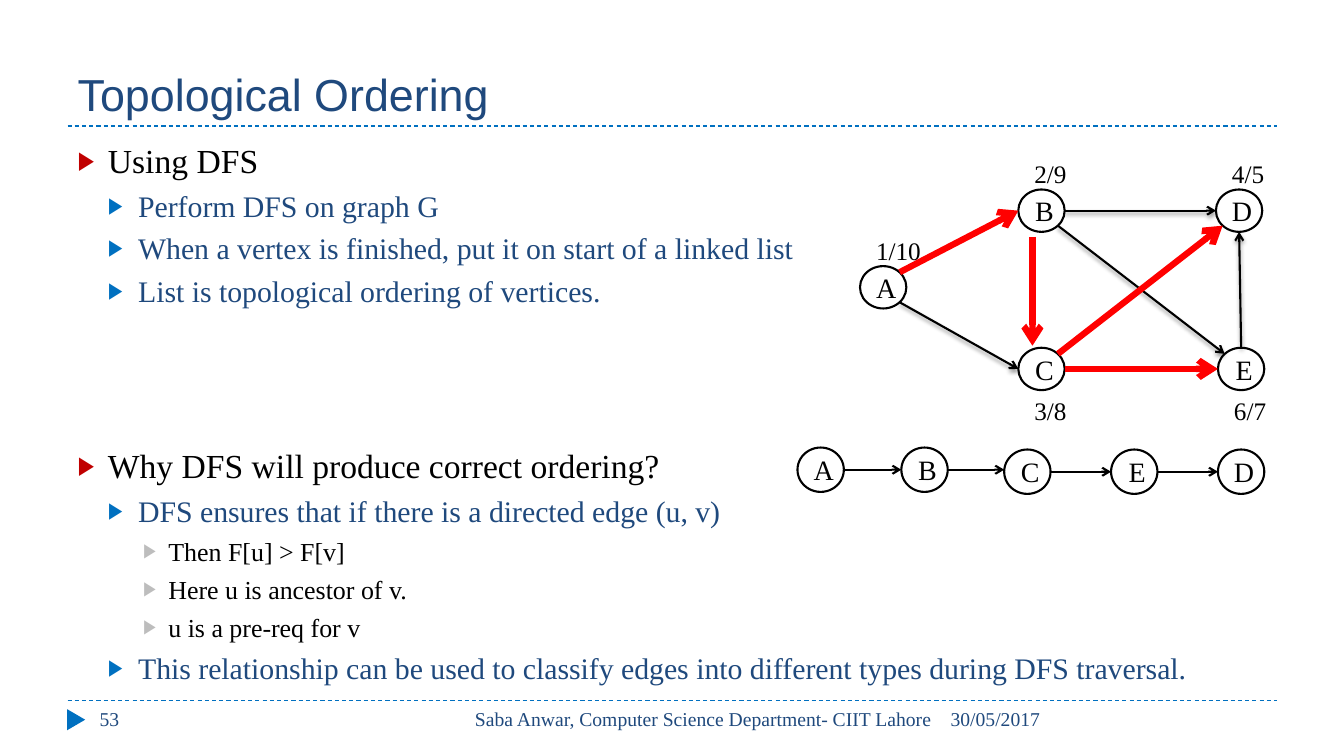
import lxml.etree
import pptx
import pptx.dml.color
import pptx.enum.dml
import pptx.enum.shapes
import pptx.enum.text
import pptx.oxml
import pptx.oxml.ns
import pptx.util
from pptx.util import Inches, Pt

SERIF = "Times New Roman"
NAVY, BLUE, RED, BLACK, WHITE = "1F497D", "0070C0", "FF0000", "000000", "FFFFFF"
ALIGN = pptx.enum.text.PP_ALIGN
ANCHOR = pptx.enum.text.MSO_ANCHOR
SHAPES = pptx.enum.shapes.MSO_SHAPE
qn = pptx.oxml.ns.qn


def rgb(hex_colour):
    return pptx.dml.color.RGBColor.from_string(hex_colour)


def write(paragraph, text, size, colour, font=SERIF):
    paragraph.text = text
    paragraph.font.size = Pt(size)
    paragraph.font.name = font
    paragraph.font.color.rgb = rgb(colour)


presentation = pptx.Presentation()
presentation.slide_width, presentation.slide_height = Inches(13.33), Inches(7.5)
slide = presentation.slides.add_slide(presentation.slide_layouts[1])
shapes = slide.shapes

# Title and body
title, body = slide.placeholders
title.left, title.top, title.width, title.height = Inches(0.67), Inches(0.17), Inches(12), Inches(1.08)
title.text_frame.vertical_anchor = ANCHOR.BOTTOM
title.text_frame.auto_size = pptx.enum.text.MSO_AUTO_SIZE.NONE
heading = title.text_frame.paragraphs[0]
heading.alignment = ALIGN.LEFT
write(heading, "Topological Ordering", 32, NAVY, "Arial")

body.left, body.top, body.width, body.height = Inches(0.67), Inches(1.34), Inches(12), Inches(5.5)
body.text_frame.auto_size = pptx.enum.text.MSO_AUTO_SIZE.NONE
# Per level: size, text colour, bullet colour, left margin, hanging indent, space before
levels = [
    (24, BLACK, "C00000", 0.3, 0.3, 97.5),
    (21.3, NAVY, BLUE, 0.6, 0.3, 5),
    (18.5, BLACK, "BDBDBD", 0.9, 0.25, 5),
]
points = [
    (0, "Using DFS"),
    (1, "Perform DFS on graph G"),
    (1, "When a vertex is finished, put it on start of a linked list"),
    (1, "List is topological ordering of vertices."),
    (0, "Why DFS will produce correct ordering?"),
    (1, "DFS ensures that if there is a directed edge (u, v)"),
    (2, "Then F[u] > F[v]"),
    (2, "Here u is ancestor of v."),
    (2, "u is a pre-req for v"),
    (1, "This relationship can be used to classify edges into different types during DFS traversal."),
]
for index, (level, text) in enumerate(points):
    size, colour, bullet_colour, margin, hanging, space = levels[level]
    point = body.text_frame.paragraphs[0] if index == 0 else body.text_frame.add_paragraph()
    point.level = level
    properties = point._p.get_or_add_pPr()
    properties.set("marL", str(Inches(margin)))
    properties.set("indent", str(-Inches(hanging)))
    bullet = lxml.etree.SubElement(properties, qn("a:buClr"))
    lxml.etree.SubElement(bullet, qn("a:srgbClr"), val=bullet_colour)
    lxml.etree.SubElement(properties, qn("a:buSzPct"), val="76000")
    lxml.etree.SubElement(properties, qn("a:buFont"), typeface="Arial")
    lxml.etree.SubElement(properties, qn("a:buChar"), char="▶")
    point.space_before = Pt(space if index else 0)
    write(point, text, size, colour)

# Rules and footer
for rule_y in (1.25, 6.95):
    rule = shapes.add_connector(pptx.enum.shapes.MSO_CONNECTOR.STRAIGHT,
                                Inches(0.67), Inches(rule_y), Inches(12.67), Inches(rule_y))
    rule.line.color.rgb = rgb(BLUE)
    rule.line.width = Pt(0.75)
    rule.line.dash_style = pptx.enum.dml.MSO_LINE.DASH
    lxml.etree.SubElement(rule._element.spPr, qn("a:effectLst"))

page_marker = shapes.add_shape(SHAPES.ISOSCELES_TRIANGLE, Inches(0.65), Inches(7.05), Inches(0.21), Inches(0.18))
page_marker.rotation = 90
page_marker.shadow.inherit = False
page_marker.fill.solid()
page_marker.fill.fore_color.rgb = rgb(BLUE)
page_marker.line.fill.background()

# Labels: text, left, top, width, size, colour, alignment, wrap
labels = [
    ("53", 0.89, 6.93, 2.89, 14, NAVY, ALIGN.LEFT, True),
    ("Saba Anwar, Computer Science Department- CIIT Lahore", 4.23, 6.93, 5.11, 14, NAVY, ALIGN.RIGHT, True),
    ("30/05/2017", 9.33, 6.93, 3.34, 14, NAVY, ALIGN.LEFT, True),
]
discovery_finish = [("1/10", 8.59, 2.28), ("2/9", 10.16, 1.52), ("4/5", 12.12, 1.52),
                    ("3/8", 10.16, 3.87), ("6/7", 12.14, 3.87)]
labels += [(times, left, top, 0.65, 18, BLACK, ALIGN.LEFT, False) for times, left, top in discovery_finish]
for text, left, top, width, size, colour, alignment, wrap in labels:
    label = shapes.add_textbox(Inches(left), Inches(top), Inches(width), Inches(0.4)).text_frame
    label.word_wrap = wrap
    label.vertical_anchor = ANCHOR.MIDDLE
    label.paragraphs[0].alignment = alignment
    write(label.paragraphs[0], text, size, colour)

# Vertices of the graph and of the ordered list: left, top, height
NODE_WIDTH = 0.46
graph = {"A": (8.53, 2.64, 0.42), "B": (10.1, 1.88, 0.42), "C": (10.1, 3.45, 0.42),
         "D": (12.06, 1.88, 0.42), "E": (12.08, 3.45, 0.42)}
ordering = {"A": (7.91, 4.44, 0.44), "B": (8.94, 4.44, 0.44), "C": (9.96, 4.46, 0.44),
            "E": (11.02, 4.46, 0.44), "D": (12.08, 4.46, 0.44)}
for vertices in (graph, ordering):
    for name, (left, top, height) in vertices.items():
        node = shapes.add_shape(SHAPES.OVAL, Inches(left), Inches(top), Inches(NODE_WIDTH), Inches(height))
        node.shadow.inherit = False
        node.fill.solid()
        node.fill.fore_color.rgb = rgb(WHITE)
        node.line.color.rgb = rgb(BLACK)
        node.line.width = Pt(1.5)
        frame = node.text_frame
        frame.word_wrap = False
        frame.vertical_anchor = ANCHOR.MIDDLE
        frame.margin_left, frame.margin_right = Inches(0.06), 0
        frame.margin_top, frame.margin_bottom = 0, 0
        frame.paragraphs[0].alignment = ALIGN.CENTER
        write(frame.paragraphs[0], name, 20, BLACK)


def rim(vertex, side):
    """Point on a vertex's outline; side is (x, y), each -1, 0 or 1."""
    left, top, height = vertex
    reach = 0.71 if all(side) else 1
    return (left + NODE_WIDTH / 2 * (1 + side[0] * reach), top + height / 2 * (1 + side[1] * reach))


RIGHT, LEFT, UP, DOWN = (1, 0), (-1, 0), (0, -1), (0, 1)
UP_RIGHT, DOWN_RIGHT, UP_LEFT, DOWN_LEFT = (1, -1), (1, 1), (-1, -1), (-1, 1)
# Tree edges of the search are red
edges = [
    ("A", UP_RIGHT, "B", LEFT, True),
    ("A", DOWN_RIGHT, "C", LEFT, False),
    ("B", RIGHT, "D", LEFT, False),
    ("B", DOWN_RIGHT, "E", UP_LEFT, False),
    ("E", UP, "D", DOWN, False),
    ("C", RIGHT, "E", LEFT, True),
    ("C", UP_RIGHT, "D", DOWN_LEFT, True),
]
arrows = [(rim(graph[tail], out), rim(graph[head], into), tree, not tree)
          for tail, out, head, into, tree in edges]
arrows.append(((10.24, 2.35), (10.24, 3.43), True, False))
sequence = list(ordering.values())
for before, after in zip(sequence, sequence[1:]):
    start = rim(before, RIGHT)
    arrows.append((start, (after[0], start[1]), False, False))

for start, end, tree, shadowed in arrows:
    arrow = shapes.add_connector(pptx.enum.shapes.MSO_CONNECTOR.STRAIGHT,
                                 *[Inches(value) for value in start + end])
    arrow.line.color.rgb = rgb(RED if tree else BLACK)
    arrow.line.width = Pt(4.5 if tree else 1.5)
    lxml.etree.SubElement(arrow.line._get_or_add_ln(), qn("a:tailEnd"), type="arrow")
    effects = lxml.etree.SubElement(arrow._element.spPr, qn("a:effectLst"))
    if shadowed:
        shadow = lxml.etree.SubElement(effects, qn("a:outerShdw"), blurRad=str(Pt(3)),
                                       dist=str(Pt(2)), dir="5400000", rotWithShape="0")
        shade = lxml.etree.SubElement(shadow, qn("a:srgbClr"), val=BLACK)
        lxml.etree.SubElement(shade, qn("a:alpha"), val="40000")

presentation.save("out.pptx")
